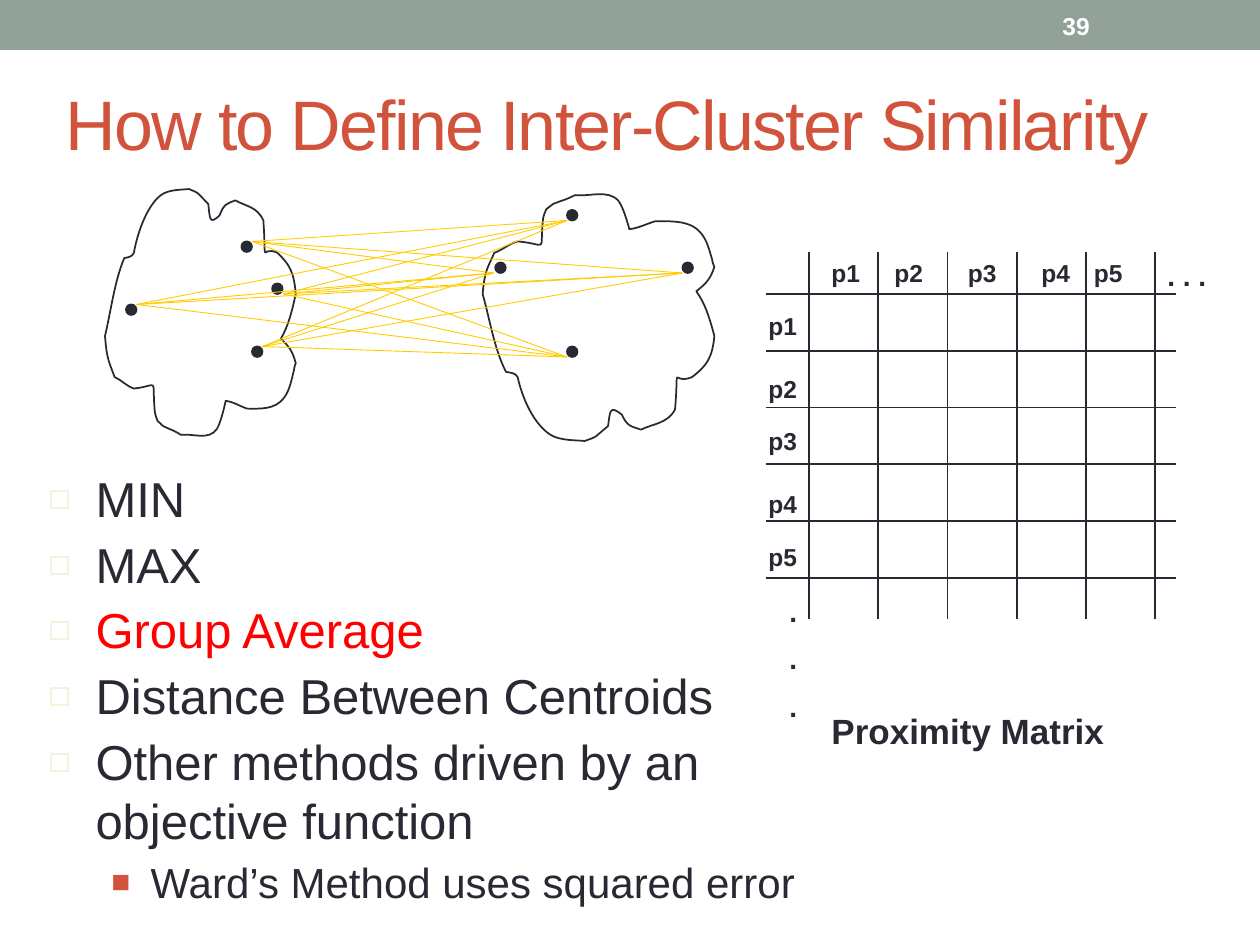
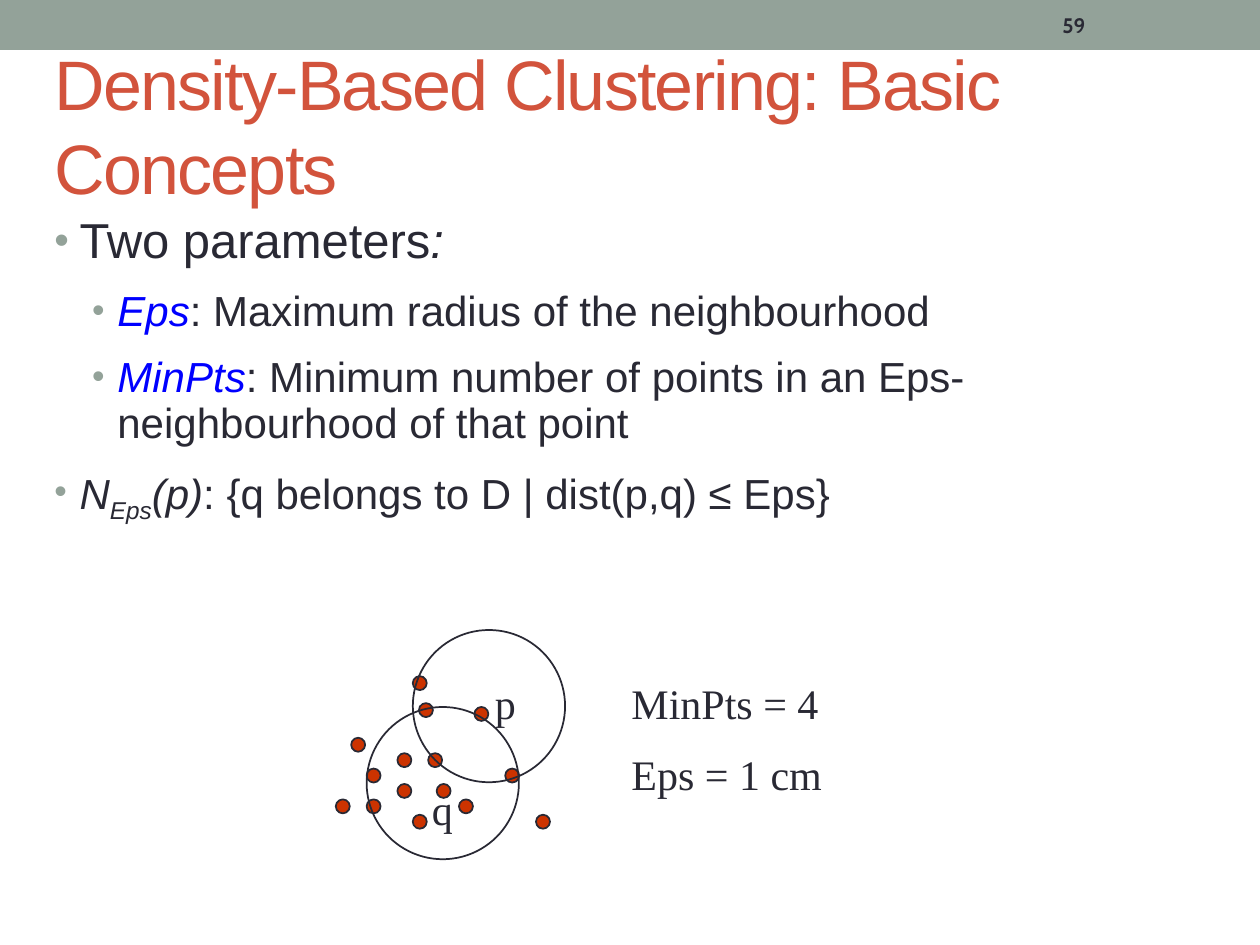
import dataclasses
import itertools

import lxml.etree
import pptx
import pptx.dml.color
import pptx.enum.shapes
import pptx.enum.text
import pptx.oxml.ns
import pptx.util

Pt = pptx.util.Pt
Shape = pptx.enum.shapes.MSO_SHAPE
Anchor = pptx.enum.text.MSO_ANCHOR
qn = pptx.oxml.ns.qn


@dataclasses.dataclass(frozen=True)
class Theme:
    band: str = "93A299"
    title: str = "D2533C"
    ink: str = "292934"
    white: str = "FFFFFF"
    pale: str = "F3F2DC"
    red: str = "FF0000"
    blue: str = "0000FF"
    gold: str = "FFCC00"
    rust: str = "CC3300"
    sans: str = "Arial"
    serif: str = "Times New Roman"
    narrow: str = "Cabin"
    head: int = 40
    body: int = 28
    sub: int = 24
    name: int = 20
    dots: int = 16
    label: int = 14
    small: int = 12


T = Theme()

OUTLINE = [
    (71, 147.5),
    (65.5, 160.5), (63.5, 177), (60, 192),
    (61, 205), (62, 206), (65.5, 215.5),
    (70, 217.5), (72, 220.5), (76.5, 222),
    (91.5, 220.5), (86.5, 214.5), (88.5, 235.5),
    (88.5, 237), (89.5, 238.5), (90, 240.5),
    (95, 245), (91.5, 242.5), (96.5, 245),
    (99.5, 246), (103.5, 248.5), (103.5, 248.5),
    (110, 247.5), (119.5, 252), (124, 245),
    (126.5, 241), (129, 229), (129, 229),
    (133, 229.5), (137, 232), (141, 233.5),
    (147.5, 233.5), (157.5, 234.5), (162.5, 227),
    (165.5, 223), (166.5, 217.5), (168, 211.5),
    (168, 210), (169, 207.5), (169, 207.5),
    (167, 200), (165, 198), (160.5, 193.5),
    (165, 186), (167, 177), (169, 168),
    (168, 155.5), (165.5, 151), (158.5, 144.5),
    (148.5, 139.5), (152.5, 155), (150.5, 126),
    (147, 118), (140.5, 118), (134.5, 114.5),
    (129.5, 116.5), (128, 116.5), (125.5, 123),
    (119.5, 129), (120, 124.5), (119, 116.5),
    (111, 108.5), (114.5, 111), (108, 108),
    (105, 108.5), (96.5, 108), (92, 111.5),
    (84, 117.5), (78.5, 133), (76.5, 144.5),
    (75.5, 147), (73, 147), (71, 147.5),
]
LEFT = [(144, 198), (138, 138), (72, 174), (155.5, 162)]
RIGHT = [(324, 198), (283, 150), (324, 120), (390, 150)]
STARTS = [(150, 198), (162, 168), (78, 174), (144, 138)]
ENDS = [(324, 204), (282, 156), (324, 126), (390, 156)]
POINTS = [(1, 7), (4, 8), (5.4, 4.75), (0, 11), (2, 9), (2, 11), (5, 12), (5, 3),
          (11, 9), (9, 5), (4, 10), (6, 8), (8, 11), (13, 12), (6.55, 10)]


def rgb(code):
    return pptx.dml.color.RGBColor.from_string(code)


def paint(shape, fill=None, line=None):
    shape.shadow.inherit = False
    if fill:
        shape.fill.solid()
        shape.fill.fore_color.rgb = rgb(fill)
    else:
        shape.fill.background()
    if line:
        shape.line.color.rgb = rgb(line)
        shape.line.width = Pt(1)
    else:
        shape.line.fill.background()


def add_form(slide, kind, left, top, width, height, fill=None, line=None):
    shape = slide.shapes.add_shape(kind, Pt(left), Pt(top), Pt(width), Pt(height))
    paint(shape, fill, line)


def add_line(slide, start, end, color=T.ink, width=1):
    line = slide.shapes.add_connector(
        pptx.enum.shapes.MSO_CONNECTOR.STRAIGHT, *map(Pt, (*start, *end)))
    line.line.color.rgb = rgb(color)
    line.line.width = Pt(width)
    lxml.etree.SubElement(line._element.spPr, qn("a:effectLst"))


def add_blob(slide, nodes):
    maker = slide.shapes.build_freeform(*map(Pt, nodes[0]))
    maker.add_line_segments([tuple(map(Pt, node)) for node in nodes[3::3]], close=True)
    shape = maker.convert_to_shape()
    edges = list(shape._element.iter(qn("a:lnTo")))
    for i, edge in enumerate(edges):
        curve = lxml.etree.Element(qn("a:cubicBezTo"))
        for x, y in nodes[3 * i + 1:3 * i + 4]:
            lxml.etree.SubElement(curve, qn("a:pt"), x=str(Pt(x) - shape.left),
                                  y=str(Pt(y) - shape.top))
        edge.getparent().replace(edge, curve)
    paint(shape, line=T.ink)


def style(run, size, color=T.ink, font=T.sans, bold=False, slant=False, base=0, track=0):
    run.font.size = Pt(size)
    run.font.name = font
    run.font.bold = bold
    run.font.italic = slant
    run.font.color.rgb = rgb(color)
    props = run._r.get_or_add_rPr()
    if base:
        props.set("baseline", str(base * 1000))
    if track:
        props.set("spc", str(track * 100))


def add_mark(para, char, color, scale, left, hang):
    props = para._p.get_or_add_pPr()
    props.set("marL", str(Pt(left)))
    props.set("indent", str(-Pt(hang)))
    tint = lxml.etree.SubElement(props, qn("a:buClr"))
    lxml.etree.SubElement(tint, qn("a:srgbClr"), val=color)
    lxml.etree.SubElement(props, qn("a:buSzPct"), val=str(scale * 1000))
    lxml.etree.SubElement(props, qn("a:buFont"), typeface=T.sans)
    lxml.etree.SubElement(props, qn("a:buChar"), char=char)


def add_box(slide, left, top, width, height, anchor=Anchor.TOP):
    box = slide.shapes.add_textbox(Pt(left), Pt(top), Pt(width), Pt(height))
    frame = box.text_frame
    frame.word_wrap = True
    frame.vertical_anchor = anchor
    return frame


def add_text(slide, text, place, size, anchor=Anchor.TOP, gap=0, **look):
    frame = add_box(slide, *place, anchor)
    frame.text = text
    for i, para in enumerate(frame.paragraphs):
        if i:
            para.space_before = Pt(gap)
        for run in para.runs:
            style(run, size, **look)


def add_list(slide, place, items, marks, before, after=0, pitch=1.0):
    frame = add_box(slide, *place)
    for i, (level, parts) in enumerate(items):
        para = frame.add_paragraph() if i else frame.paragraphs[0]
        add_mark(para, *marks[level])
        para.level = level
        para.line_spacing = pitch
        para.space_before = Pt(before if i else 0)
        para.space_after = Pt(after)
        for text, size, look in parts:
            run = para.add_run()
            run.text = text
            style(run, size, **look)


def add_page(deck, title, place, number, size, **look):
    slide = deck.slides.add_slide(deck.slide_layouts[6])
    add_form(slide, Shape.RECTANGLE, 0, 0, 720, 28.5, T.band)
    add_text(slide, title, place, T.head, Anchor.MIDDLE, color=T.title, track=-1)
    add_text(slide, number, (600, 1.5, 84, 26), size, Anchor.MIDDLE, bold=True, **look)
    return slide


def add_grid(slide):
    for i in range(6):
        x, y = 462.2 + 39.6 * i, 168.1 + 32.4 * i
        add_line(slide, (x, 144), (x, 354))
        add_line(slide, (438, y), (672, y))
    tops = (174, 210, 240, 276, 306)
    lefts = (468, 504, 546, 588, 618)
    for i, (x, y) in enumerate(zip(lefts, tops), 1):
        for place in ((432, y, 42, 24), (x, 144, 42, 24)):
            add_text(slide, f"p{i}", place, T.label, bold=True)
    add_text(slide, ". . .", (660, 144, 42, 26.5), T.dots, bold=True)
    add_text(slide, ".\n.\n.", (444, 336, 42, 84), T.dots, gap=8, bold=True)
    add_text(slide, "Proximity Matrix", (468, 402, 198, 31), T.name, bold=True)


def add_links(slide):
    add_blob(slide, OUTLINE)
    add_blob(slide, [(275.8 + (x - 60) * 1.215, 360 - y) for x, y in OUTLINE])
    for x, y in LEFT + RIGHT:
        add_form(slide, Shape.OVAL, x, y, 6, 6, T.ink, T.ink)
    for start, end in itertools.product(STARTS, ENDS):
        add_line(slide, start, end, T.gold, 0.5)


def add_rings(slide):
    left, top, step = 191.9, 360, 8.8
    for col, row in POINTS:
        add_form(slide, Shape.OVAL, left + step * col, top + step * row, 8, 8, T.rust, T.ink)
    for col, row in ((5, 0), (2, 5)):
        add_form(slide, Shape.OVAL, left + step * col, top + step * row, 87, 87, line=T.ink)
    for text, x, y in (("p", 275.7, 383.5), ("q", 239.7, 444)):
        add_text(slide, text, (x, y, 30, 36), T.sub, font=T.serif)
    add_text(slide, "MinPts = 4\nEps = 1 cm", (353.8, 383.5, 144, 80), T.sub, gap=12,
             font=T.serif)


def main():
    deck = pptx.Presentation()
    deck.slide_width, deck.slide_height = Pt(720), Pt(540)

    slide = add_page(deck, "How to Define Inter-Cluster Similarity", (30.5, 48, 652, 43.5),
                     "39", T.label, color=T.white)
    add_grid(slide)
    add_links(slide)
    items = [(0, [(text, T.body, {"color": color})]) for text, color in (
        ("MIN", T.ink), ("MAX", T.ink), ("Group Average", T.red),
        ("Distance Between Centroids", T.ink),
        ("Other methods driven by an objective function", T.ink))]
    items.append((1, [("Ward’s Method uses squared error", T.sub, {})]))
    marks = [("◻", T.pale, 75, 27, 27), ("■", T.title, 75, 58.5, 22.5)]
    add_list(slide, (20.5, 264, 456, 246), items, marks, 2, 2)

    slide = add_page(deck, "Density-Based Clustering: Basic Concepts", (24, 44, 666, 54),
                     "59", T.small, font=T.narrow)
    slant = {"slant": True}
    term = {"slant": True, "color": T.blue}
    items = [
        (0, [("Two parameters", T.body, {}), (":", T.body, slant)]),
        (1, [("Eps", T.sub, term), (": Maximum radius of the neighbourhood", T.sub, {})]),
        (1, [("MinPts", T.sub, term),
             (": Minimum number of points in an Eps-neighbourhood of that point", T.sub, {})]),
        (0, [("N", T.sub, slant), ("Eps", T.sub, {"slant": True, "base": -25}),
             ("(p)", T.sub, slant), (": {q belongs to D | dist(p,q) ≤ Eps}", T.sub, {})]),
    ]
    marks = [("•", T.band, 85, 14.4, 14.4), ("•", T.band, 85, 36, 14.4)]
    add_list(slide, (24, 120, 624, 408), items, marks, 12, pitch=0.9)
    add_rings(slide)

    deck.save("out.pptx")


if __name__ == "__main__":
    main()
